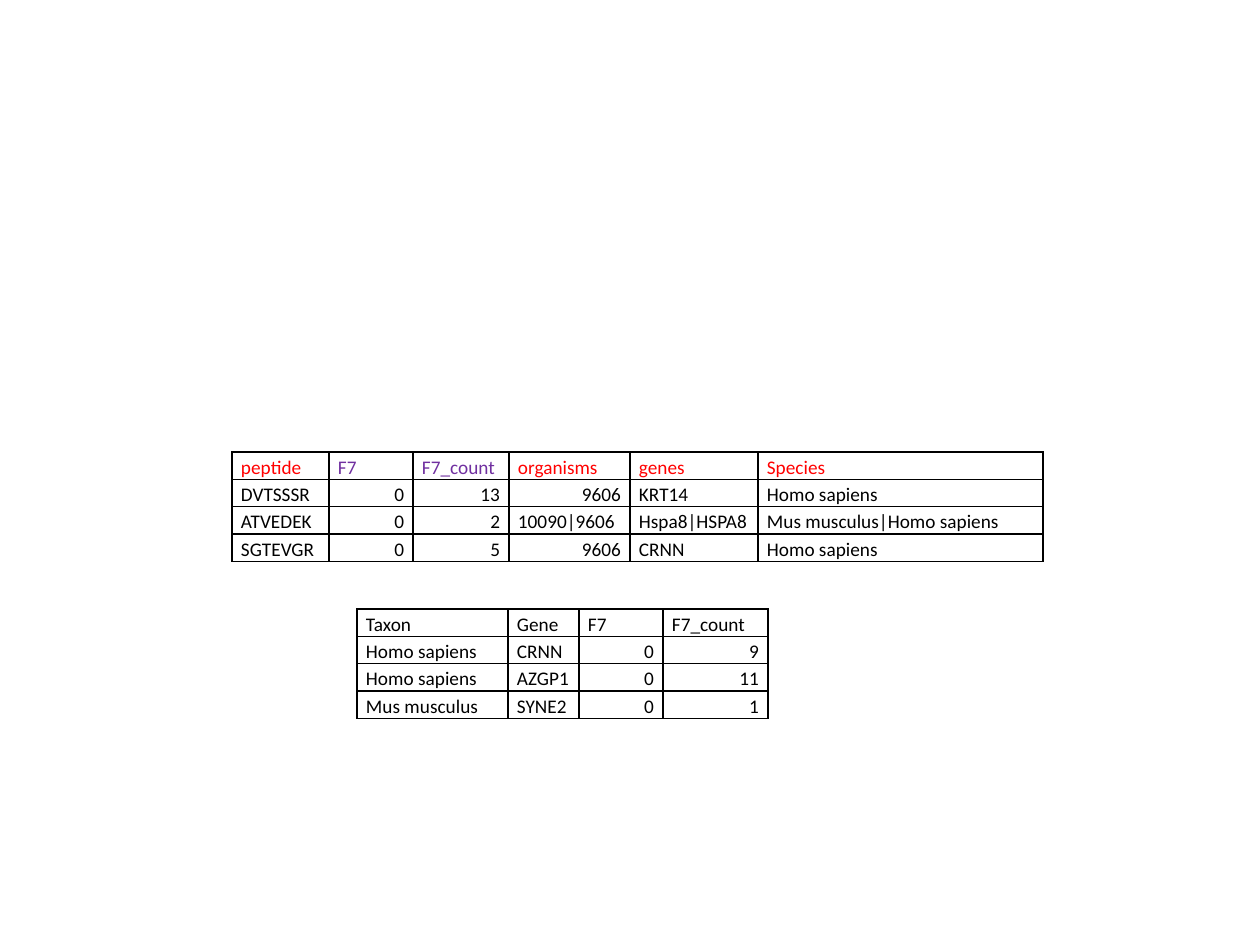
"""Build a slide with a peptide table above a table of gene counts by taxon."""
import pptx
import pptx.dml.color
import pptx.enum.text
import pptx.oxml
import pptx.oxml.ns
import pptx.util

PX = 914400 // 126
ROW_HEIGHT = 27
RED, PURPLE, BLACK = "FF0000", "7030A0", "000000"


def write_cell(cell, text, color=BLACK, size=11, font="Calibri"):
    cell.margin_left = cell.margin_right = 9 * PX
    cell.margin_top = cell.margin_bottom = 0
    cell.vertical_anchor = pptx.enum.text.MSO_ANCHOR.BOTTOM
    para = cell.text_frame.paragraphs[0]
    para.line_spacing = 1.15
    align = pptx.enum.text.PP_ALIGN
    para.alignment = align.RIGHT if text.isdigit() else align.LEFT
    span = para.add_run()
    span.text = text
    span.font.name = font
    span.font.size = pptx.util.Pt(size)
    span.font.color.rgb = pptx.dml.color.RGBColor.from_string(color)


def outline_cell(cell, color=BLACK, width=1):
    properties = cell._tc.get_or_add_tcPr()
    for side in ("lnL", "lnR", "lnT", "lnB"):
        properties.append(pptx.oxml.parse_xml(
            f'<a:{side} {pptx.oxml.ns.nsdecls("a")} w="{pptx.util.Pt(width)}">'
            f'<a:solidFill><a:srgbClr val="{color}"/></a:solidFill></a:{side}>'
        ))
    cell.fill.background()


peptide_rows = [
    ["peptide", "F7", "F7_count", "organisms", "genes", "Species"],
    ["DVTSSSR", "0", "13", "9606", "KRT14", "Homo sapiens"],
    ["ATVEDEK", "0", "2", "10090|9606", "Hspa8|HSPA8", "Mus musculus|Homo sapiens"],
    ["SGTEVGR", "0", "5", "9606", "CRNN", "Homo sapiens"],
]
taxon_rows = [
    ["Taxon", "Gene", "F7", "F7_count"],
    ["Homo sapiens", "CRNN", "0", "9"],
    ["Homo sapiens", "AZGP1", "0", "11"],
    ["Mus musculus", "SYNE2", "0", "1"],
]
tables = [
    (232, 452, [97, 84, 96, 121, 128, 285], peptide_rows,
     [RED, PURPLE, PURPLE, RED, RED, RED]),
    (357, 609, [151, 71, 84, 105], taxon_rows, [BLACK] * 4),
]

deck = pptx.Presentation()
deck.slide_width = pptx.util.Inches(10)
deck.slide_height = pptx.util.Inches(7.5)
page = deck.slides.add_slide(deck.slide_layouts[6])

for left, top, widths, rows, header_colors in tables:
    table = page.shapes.add_table(
        len(rows), len(widths), left * PX, top * PX,
        sum(widths) * PX, len(rows) * ROW_HEIGHT * PX,
    ).table
    table.first_row = table.horz_banding = False
    for column, width in zip(table.columns, widths):
        column.width = width * PX
    for row_index, row in enumerate(rows):
        table.rows[row_index].height = ROW_HEIGHT * PX
        for column_index, text in enumerate(row):
            cell = table.cell(row_index, column_index)
            color = header_colors[column_index] if row_index == 0 else BLACK
            write_cell(cell, text, color=color)
            outline_cell(cell)

deck.save("out.pptx")
